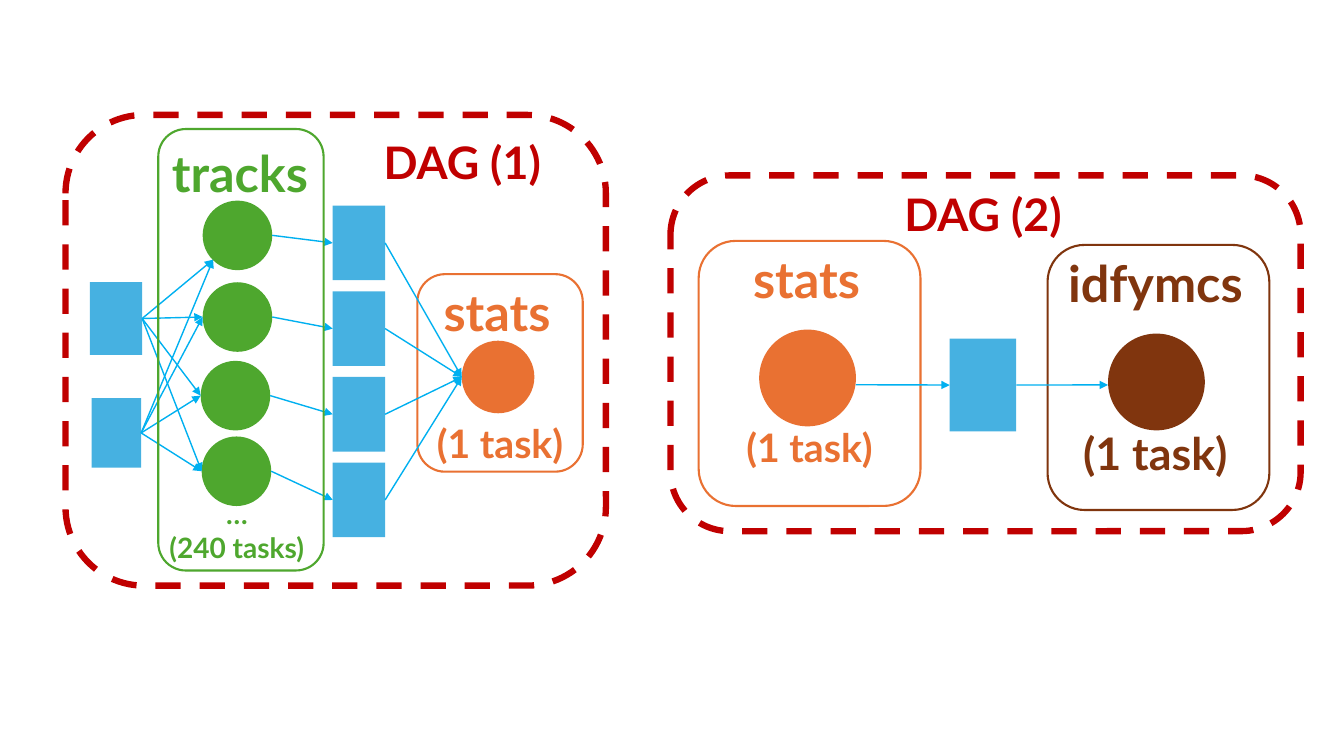
from dataclasses import dataclass

from lxml import etree
from pptx import Presentation
from pptx import util as u
from pptx.dml.color import RGBColor
from pptx.enum import dml, shapes, text
from pptx.oxml.ns import qn

PX = u.Inches(1) // 100


@dataclass(frozen=True)
class Theme:
    font: str = "Lato"
    green: str = "4EA72E"
    orange: str = "E97132"
    brown: str = "80350E"
    red: str = "C00000"
    blue: str = "46B1E1"
    arrow: str = "00B0F0"
    name_size: int = 36
    title_size: int = 32
    task_size: int = 28
    note_size: int = 20
    thin: float = 1
    outline: float = 1.5
    border: float = 4.5


@dataclass(frozen=True)
class Box:
    left: int
    top: int
    width: int
    height: int

    def inner(self, left, top, width, height):
        return Box(self.left + left, self.top + top, width, height)

    def band(self, top, width, height, shift=0):
        return self.inner((self.width - width) // 2 + shift, top, width, height)

    def emu(self):
        return [value * PX for value in (self.left, self.top, self.width, self.height)]


THEME = Theme()
KINDS = shapes.MSO_SHAPE


def add_solid(group, kind, box, color):
    shape = group.shapes.add_shape(kind, *box.emu())
    shape.shadow.inherit = False
    shape.fill.solid()
    shape.fill.fore_color.rgb = RGBColor.from_string(color)
    shape.line.fill.background()
    return shape


def add_frame(group, box, color, width=THEME.outline, dash=None):
    shape = group.shapes.add_shape(KINDS.ROUNDED_RECTANGLE, *box.emu())
    shape.shadow.inherit = False
    shape.fill.background()
    shape.line.color.rgb = RGBColor.from_string(color)
    shape.line.width = u.Pt(width)
    if dash:
        shape.line.dash_style = dash


def add_text(group, box, *lines, size, color):
    frame = group.shapes.add_textbox(*box.emu()).text_frame
    frame.word_wrap = True
    for index, line in enumerate(lines):
        paragraph = frame.add_paragraph() if index else frame.paragraphs[0]
        paragraph.alignment = text.PP_ALIGN.CENTER
        run = paragraph.add_run()
        run.text = line
        run.font.name = THEME.font
        run.font.size = u.Pt(size)
        run.font.bold = True
        run.font.color.rgb = RGBColor.from_string(color)


def point_on(shape, fraction):
    return (int(shape.left + shape.width * fraction[0]),
            int(shape.top + shape.height * fraction[1]))


def add_arrow(group, source, target, leave=(1, 0.5), enter=(0, 0.5)):
    connector = group.shapes.add_connector(
        shapes.MSO_CONNECTOR.STRAIGHT, *point_on(source, leave), *point_on(target, enter))
    if source.auto_shape_type == KINDS.RECTANGLE:
        connector.begin_connect(source, 3)
    if target.auto_shape_type == KINDS.RECTANGLE:
        connector.end_connect(target, 1)
    connector.line.color.rgb = RGBColor.from_string(THEME.arrow)
    connector.line.width = u.Pt(THEME.thin)
    line = connector.line._get_or_add_ln()
    etree.SubElement(line, qn("a:tailEnd"), type="triangle")
    etree.SubElement(connector._element.spPr, qn("a:effectLst"))


def add_stage(group, box, name, color, diameter, circle_top, task_top,
              task_size=THEME.task_size, task_shift=0):
    circle = add_solid(group, KINDS.OVAL,
                       box.band(circle_top, diameter, diameter, -2), color)
    add_frame(group, box, color)
    add_text(group, box.band(2, 220, 70, -3), name, size=THEME.name_size, color=color)
    add_text(group, box.band(task_top, 220, 60, task_shift), "(1 task)",
             size=task_size, color=color)
    return circle


def add_border(group, box, title, title_box):
    add_frame(group, box, THEME.red, THEME.border, dml.MSO_LINE.DASH)
    add_text(group, title_box, title, size=THEME.title_size, color=THEME.red)


def add_tracks_dag(slide, box):
    group = slide.shapes.add_group_shape()
    inputs = [add_solid(group, KINDS.RECTANGLE, box.inner(*place), THEME.blue)
              for place in ((24, 166, 52, 72), (26, 281, 49, 69))]
    tracks = [add_solid(group, KINDS.OVAL, box.inner(left, top, 69, 69), THEME.green)
              for left, top in ((136, 85), (136, 166), (134, 244), (135, 319))]
    outputs = [add_solid(group, KINDS.RECTANGLE,
                         box.inner(265, 90 + 85 * row, 52, 74), THEME.blue)
               for row in range(len(tracks))]
    stats = add_stage(group, box.inner(349, 158, 164, 196), "stats", THEME.orange,
                      diameter=72, circle_top=66, task_top=139)
    for row, (track, output) in enumerate(zip(tracks, outputs)):
        for source in inputs:
            add_arrow(group, source, track, enter=(0, 0.5) if row else (0.15, 0.85))
        add_arrow(group, track, output)
        add_arrow(group, output, stats)

    column = box.inner(92, 14, 164, 438)
    add_frame(group, column, THEME.green)
    add_text(group, column.band(8, 200, 70, -1), "tracks",
             size=THEME.name_size, color=THEME.green)
    add_text(group, column.band(360, 220, 78, -4), "…", "(240 tasks)",
             size=THEME.note_size, color=THEME.green)
    add_border(group, box, "DAG (1)", box.inner(282, 15, 223, 64))


def add_identify_dag(slide, box):
    group = slide.shapes.add_group_shape()
    stats = add_stage(group, box.inner(28, 65, 220, 263), "stats", THEME.orange,
                      diameter=96, circle_top=88, task_top=176)
    result = add_solid(group, KINDS.RECTANGLE, box.inner(277, 162, 66, 92), THEME.blue)
    identify = add_stage(group, box.inner(374, 69, 220, 263), "idfymcs", THEME.brown,
                         diameter=96, circle_top=88, task_top=174,
                         task_size=THEME.title_size, task_shift=-3)
    add_arrow(group, stats, result, leave=(1, 0.57))
    add_arrow(group, result, identify, enter=(0, 0.53))
    add_border(group, box, "DAG (2)", box.band(6, 530, 64, -2))


def main():
    presentation = Presentation()
    presentation.slide_width = 1333 * PX
    presentation.slide_height = 750 * PX
    slide = presentation.slides.add_slide(presentation.slide_layouts[6])
    add_tracks_dag(slide, Box(65, 114, 536, 467))
    add_identify_dag(slide, Box(665, 174, 625, 353))
    presentation.save("out.pptx")


if __name__ == "__main__":
    main()
